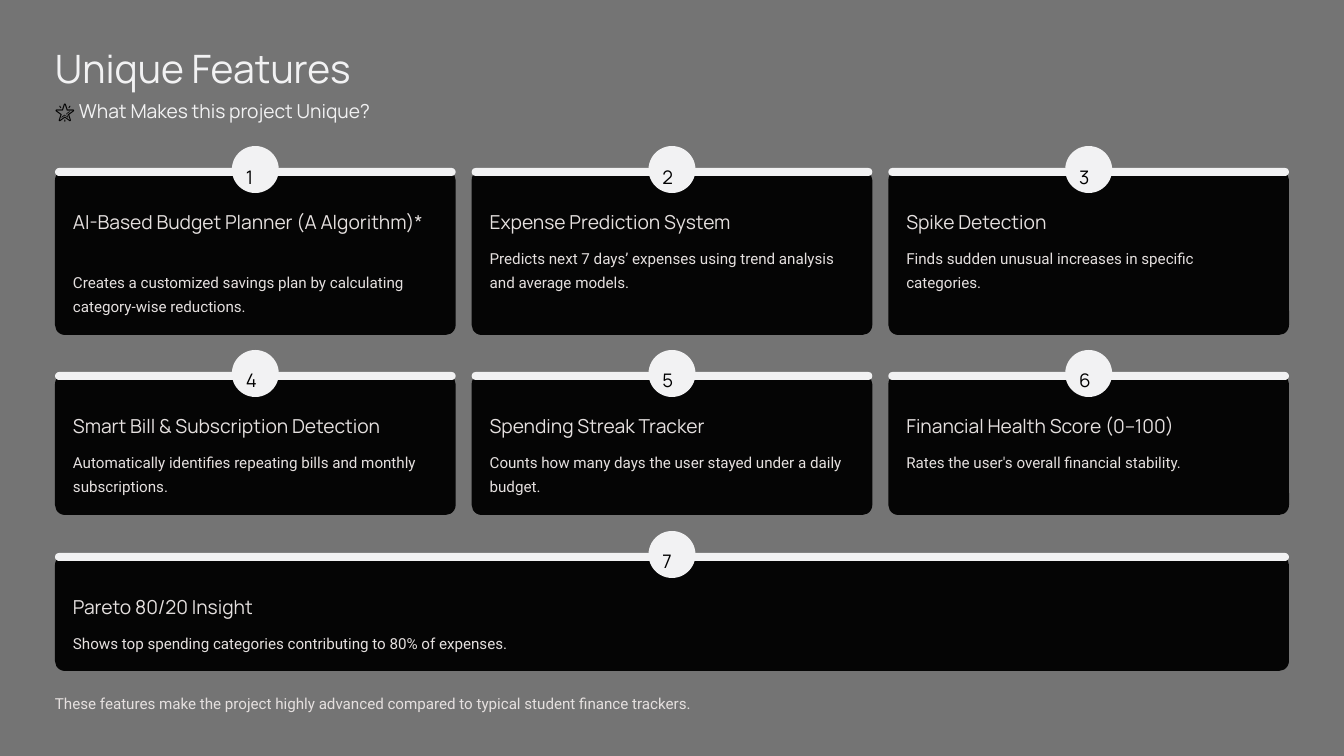
"""Build the Unique Features slide: seven numbered cards in three rows."""
from pptx import Presentation, util as u
from pptx.dml.color import RGBColor
from pptx.enum import shapes

GREY = RGBColor(0x74, 0x74, 0x74)
NIGHT = RGBColor(0x05, 0x05, 0x05)
BLACK = RGBColor(0, 0, 0)
WHITE = RGBColor(0xF2, 0xF2, 0xF3)
SAND = RGBColor(0xE5, 0xE0, 0xDF)

TITLE = "Unique Features"
STAR = "🌟"
QUERY = " What Makes this project Unique?"
CLOSE = "These features make the project highly advanced compared to typical student finance trackers."

# Each row: bar top, card height, cards as (heading, heading width, heading lines, body, body lines)
ROWS = [
    (168, 165, [
        ("AI-Based Budget Planner (A Algorithm)*", 365, 2,
         "Creates a customized savings plan by calculating category-wise reductions.", 2),
        ("Expense Prediction System", 257, 1,
         "Predicts next 7 days’ expenses using trend analysis and average models.", 2),
        ("Spike Detection", 196, 1,
         "Finds sudden unusual increases in specific categories.", 2),
    ]),
    (372, 141, [
        ("Smart Bill & Subscription Detection", 333, 1,
         "Automatically identifies repeating bills and monthly subscriptions.", 2),
        ("Spending Streak Tracker", 234, 1,
         "Counts how many days the user stayed under a daily budget.", 2),
        ("Financial Health Score (0–100)", 291, 1,
         "Rates the user's overall financial stability.", 1),
    ]),
    (553, 116, [
        ("Pareto 80/20 Insight", 196, 1,
         "Shows top spending categories contributing to 80% of expenses.", 1),
    ]),
]

LEFT, WIDE, GAP, PAD = 55, 1234, 16, 18
BAR, DISC, LINE = 8, 47, 25
RADIUS = 10


def px(n):
    return round(n * u.Inches(1) / 84)


def block(slide, x, y, w, h, radius, fill):
    shape = slide.shapes.add_shape(
        shapes.MSO_SHAPE.ROUNDED_RECTANGLE, px(x), px(y), px(w), px(h))
    shape.adjustments[0] = radius / min(w, h)
    shape.shadow.inherit = False
    shape.fill.solid()
    shape.fill.fore_color.rgb = fill
    shape.line.fill.background()


def label(slide, x, y, w, h, words, size, lead, color, face="Manrope"):
    frame = slide.shapes.add_textbox(px(x), px(y), px(w), px(h)).text_frame
    frame.word_wrap = True
    frame.margin_left = frame.margin_right = 0
    frame.margin_top = frame.margin_bottom = 0
    para = frame.paragraphs[0]
    para.text = words
    para.line_spacing = u.Pt(lead)
    font = para.runs[0].font
    font.name, font.size = face, u.Pt(size)
    font.color.rgb = color
    return para


def card(slide, num, x, top, w, h, item):
    head, span, deep, body, lines = item
    mid = x + (w - DISC) / 2
    block(slide, x, top + 2, w, h, RADIUS, NIGHT)
    block(slide, x, top, w, BAR, BAR / 2, WHITE)
    block(slide, mid, top - 22, DISC, DISC, DISC / 2, WHITE)
    label(slide, mid + 14, top - 10, 18, 24, str(num), 16, 25.5, BLACK)
    label(slide, x + PAD, top + 41, span, 24 * deep, head, 16.5, 20.5, SAND)
    label(slide, x + PAD, top + 51 + 24 * deep, w - 2 * PAD, LINE * lines,
          body, 13, 21, SAND, "Roboto")


def main():
    deck = Presentation()
    deck.slide_width, deck.slide_height = u.Inches(16), u.Inches(9)
    slide = deck.slides.add_slide(deck.slide_layouts[6])
    slide.background.fill.solid()
    slide.background.fill.fore_color.rgb = GREY

    label(slide, LEFT, 43, 391, 49, TITLE, 33.5, 41.5, WHITE)
    para = label(slide, LEFT, 98, 391, 24, STAR, 16.5, 20.5, BLACK)
    run = para.add_run()
    run.text = QUERY
    run.font.name, run.font.size = "Manrope", u.Pt(16.5)
    run.font.color.rgb = WHITE

    num = 0
    for top, high, cards in ROWS:
        w = (WIDE - GAP * (len(cards) - 1)) / len(cards)
        for col, item in enumerate(cards):
            num += 1
            card(slide, num, LEFT + col * (w + GAP), top, w, high, item)

    label(slide, LEFT, 688, WIDE, LINE, CLOSE, 13, 21, SAND, "Roboto")
    deck.save("out.pptx")


if __name__ == "__main__":
    main()
